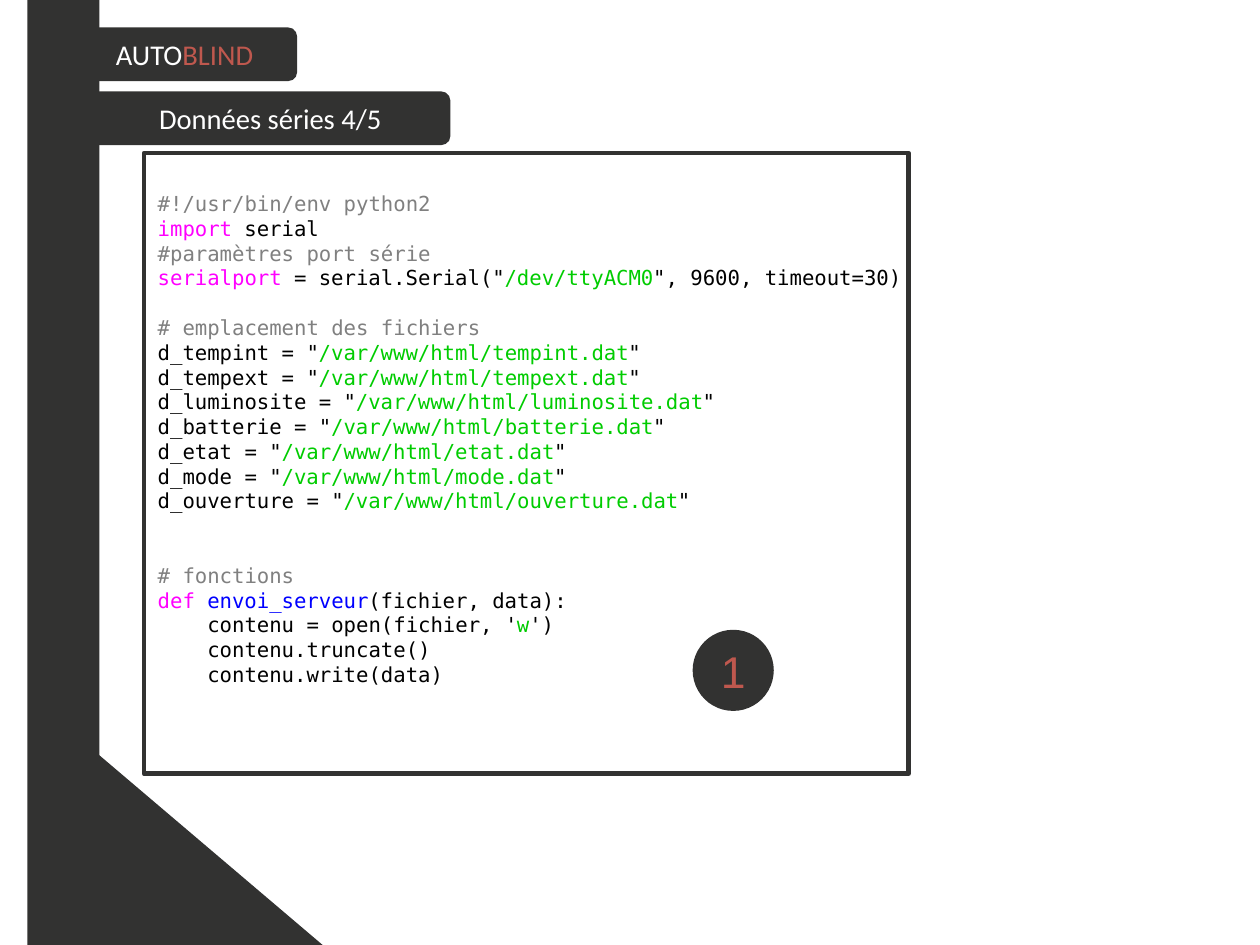
from dataclasses import dataclass

from pptx import Presentation
from pptx.dml.color import RGBColor as Rgb
from pptx.enum.shapes import MSO_SHAPE as Form
from pptx.enum.text import MSO_ANCHOR as Anchor, MSO_AUTO_SIZE as Fit, PP_ALIGN as Align
from pptx.util import Inches, Pt


@dataclass(frozen=True)
class Theme:
    """Colours, fonts and type sizes of the slide."""
    dark: str = "323231"
    white: str = "FFFFFF"
    red: str = "BF584E"
    note: str = "808080"
    key: str = "FF00FF"
    plain: str = "000000"
    text: str = "00CC00"
    func: str = "0000FF"
    sans: str = "Calibri"
    mono: str = "DejaVu Sans Mono"
    digit: str = "Arial"
    head: float = 18
    code: float = 13
    step: float = 15.6
    badge: float = 28
    edge: float = 2.83


T = Theme()

FILES = ["tempint", "tempext", "luminosite", "batterie", "etat", "mode", "ouverture"]

SETUP = [
    [("#!/usr/bin/env python2", T.note)],
    [("import", T.key), (" serial", T.plain)],
    [("#paramètres port série", T.note)],
    [("serialport", T.key), (' = serial.Serial("', T.plain),
     ("/dev/ttyACM0", T.text), ('", 9600, timeout=30)', T.plain)],
]

PATHS = [[("# emplacement des fichiers", T.note)]] + [
    [(f'd_{name} = "', T.plain), (f"/var/www/html/{name}.dat", T.text), ('"', T.plain)]
    for name in FILES
]

SEND = [
    [("# fonctions", T.note)],
    [("def ", T.key), ("envoi_serveur", T.func), ("(fichier, data):", T.plain)],
    [("    contenu = open(fichier, '", T.plain), ("w", T.text), ("')", T.plain)],
    [("    contenu.truncate()", T.plain)],
    [("    contenu.write(data)", T.plain)],
]


def block(slide, form, at, fill=T.dark, edge=0):
    """Add a preset shape at left, top, width, height."""
    shape = slide.shapes.add_shape(form, *map(Inches, at))
    shape.shadow.inherit = False
    shape.fill.solid()
    shape.fill.fore_color.rgb = Rgb.from_string(fill)
    if edge:
        shape.line.color.rgb = Rgb.from_string(T.dark)
        shape.line.width = Pt(edge)
    else:
        shape.line.fill.background()
    return shape


def write(para, parts, font, size):
    """Fill a paragraph with coloured runs."""
    for words, tint in parts:
        run = para.add_run()
        run.text = words
        run.font.name = font
        run.font.size = Pt(size)
        run.font.color.rgb = Rgb.from_string(tint)


def label(shape, parts, font, size):
    """Centre one line of text in a shape."""
    frame = shape.text_frame
    frame.word_wrap = False
    frame.auto_size = Fit.NONE
    frame.vertical_anchor = Anchor.MIDDLE
    para = frame.paragraphs[0]
    para.alignment = Align.CENTER
    write(para, parts, font, size)


def title(slide, words, at):
    """Set the title placeholder on a dark rounded tab."""
    tab = block(slide, Form.ROUNDED_RECTANGLE, at)
    shape = slide.shapes.title
    shape.left, shape.top, shape.width, shape.height = map(Inches, at)
    label(shape, [(words, T.white)], T.sans, T.head)
    tab.element.addnext(shape.element)


def listing(slide, groups, at):
    """Add a framed code box; each group comes with its gap in lines."""
    frame = block(slide, Form.RECTANGLE, at, T.white, T.edge).text_frame
    frame.word_wrap = True
    frame.vertical_anchor = Anchor.TOP
    frame.margin_left, frame.margin_right = Inches(0.12), 0
    frame.margin_top = Inches(0.33)
    para = frame.paragraphs[0]
    for gap, lines in groups:
        for row, parts in enumerate(lines):
            if para is None:
                para = frame.add_paragraph()
            para.alignment = Align.LEFT
            if gap and row == 0:
                para.space_before = Pt(gap * T.step)
            write(para, parts, T.mono, T.code)
            para = None


def main():
    """Build and save the slide."""
    deck = Presentation()
    deck.slide_width, deck.slide_height = Inches(28 / 2.54), Inches(21 / 2.54)
    slide = deck.slides.add_slide(deck.slide_layouts[5])

    brand = block(slide, Form.ROUNDED_RECTANGLE, (0.63, 0.24, 1.97, 0.47))
    label(brand, [("AUTO", T.white), ("BLIND", T.red)], T.sans, T.head)
    block(slide, Form.RECTANGLE, (0.24, -0.08, 0.63, 8.35))
    block(slide, Form.RIGHT_TRIANGLE, (0.79, 6.54, 2.13, 1.81))
    title(slide, "Données séries 4/5", (0.79, 0.8, 3.15, 0.47))
    listing(slide, [(0, SETUP), (1, PATHS), (2, SEND)], (1.26, 1.34, 6.69, 5.43))
    badge = block(slide, Form.OVAL, (6.06, 5.51, 0.71, 0.71))
    label(badge, [("1", T.red)], T.digit, T.badge)

    deck.save("out.pptx")


if __name__ == "__main__":
    main()
